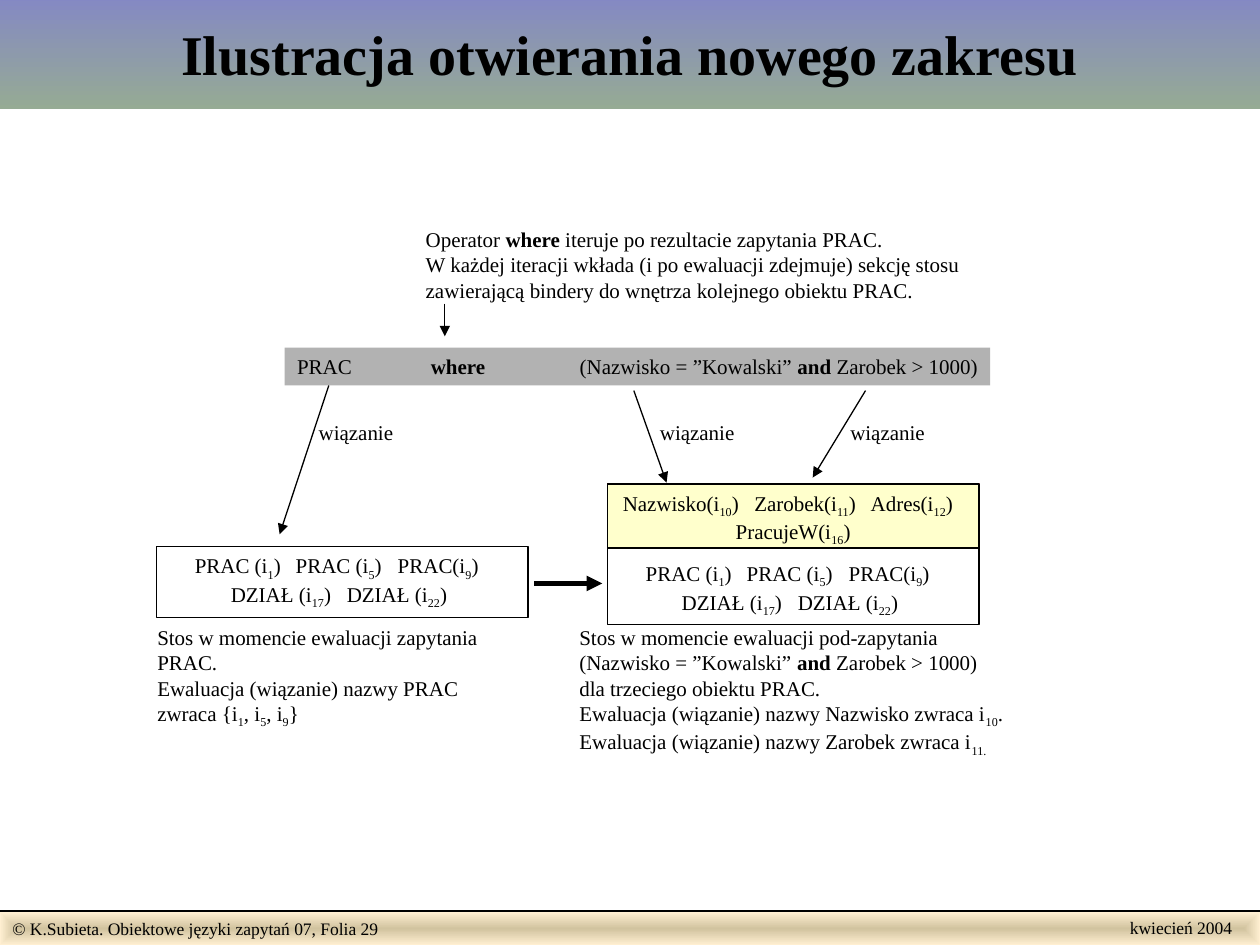
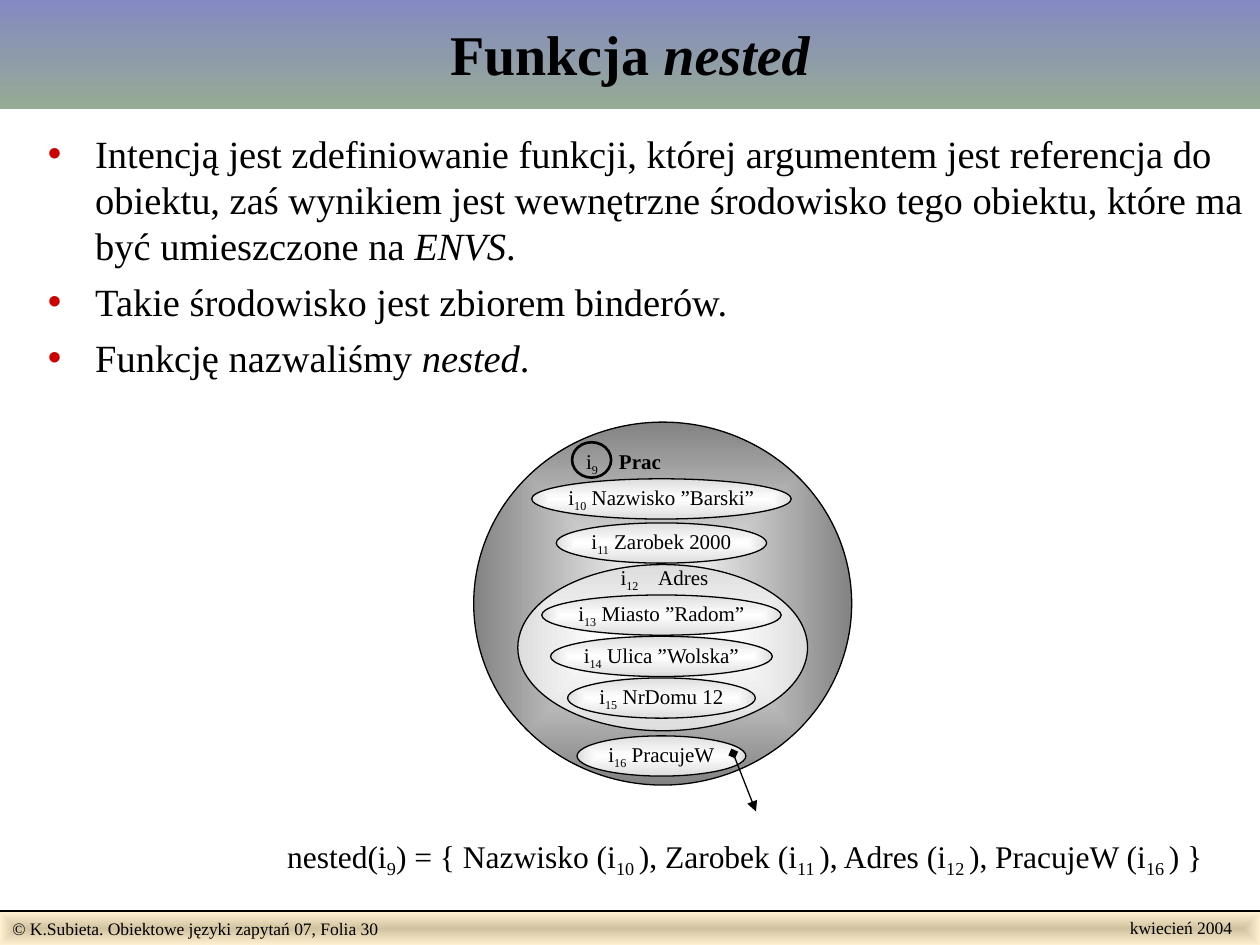
from dataclasses import dataclass
from typing import Optional

import lxml.etree
import pptx
import pptx.dml.color
import pptx.enum.dml
import pptx.enum.shapes
import pptx.enum.text
import pptx.oxml.ns
import pptx.util

Pt = pptx.util.Pt
qn = pptx.oxml.ns.qn
Align = pptx.enum.text.PP_ALIGN
Anchor = pptx.enum.text.MSO_ANCHOR
AutoSize = pptx.enum.text.MSO_AUTO_SIZE
Preset = pptx.enum.shapes.MSO_SHAPE

FONT = "Times New Roman"
BLACK = "000000"
TITLE_BAND = ("8488C4", "96AB94")
FOOTER_BAND = ("D1C39F", "FFEFD1")
OUTER_OBJECT = ("FFFFFF", "838383")
INNER_OBJECT = ("FFFFFF", "DDDDDD")
BULLET_RED = "CC0000"
STYLE_MARKS = {"*": "bold", "/": "italic", "~": "subscript"}

OBJECT_CENTER = 378
ATTRIBUTE_HEIGHT = 23
STACK_WIDTH = 212.4
PRAC_TABS = (14.9, 72.6, 130.9)
DZIAL_TABS = (35.5, 101.8)
BASE_SECTION = (
    "\tPRAC (i~1~)\tPRAC (i~5~)\tPRAC(i~9~)",
    "\tDZIAŁ (i~17~)\tDZIAŁ (i~22~)",
)


@dataclass(frozen=True)
class Box:
    x: float
    y: float
    w: float
    h: float


@dataclass(frozen=True)
class Label:
    box: Box
    lines: tuple[str, ...]
    size: float = 12
    wrap: bool = False
    inset: bool = True
    tabs: tuple[tuple[float, ...], ...] = ()


@dataclass(frozen=True)
class Panel:
    box: Box
    fill: tuple[str, ...] = ()
    line: Optional[str] = BLACK
    weight: float = 0.75
    preset: int = Preset.RECTANGLE


@dataclass(frozen=True)
class Line:
    start: tuple[float, float]
    end: tuple[float, float]
    weight: float = 0.75
    head: str = ""
    tail: str = "triangle"


@dataclass(frozen=True)
class Attribute:
    y: float
    width: float
    text: str


def color(value: str) -> pptx.dml.color.RGBColor:
    return pptx.dml.color.RGBColor.from_string(value)


def place(shape, box: Box) -> None:
    shape.left, shape.top = Pt(box.x), Pt(box.y)
    shape.width, shape.height = Pt(box.w), Pt(box.h)


def paint(shape, fill: tuple[str, ...], centered: bool = False) -> None:
    if not fill:
        shape.fill.background()
    elif len(fill) == 1:
        shape.fill.solid()
        shape.fill.fore_color.rgb = color(fill[0])
    else:
        shape.fill.gradient()
        shape.fill.gradient_angle = 270
        for stop, position, value in zip(shape.fill.gradient_stops, (0, 1), fill):
            stop.position = position
            stop.color.rgb = color(value)
        if centered:
            linear = shape._element.spPr.find(qn("a:gradFill")).find(qn("a:lin"))
            focus = lxml.etree.Element(qn("a:path"), path="rect")
            lxml.etree.SubElement(focus, qn("a:fillToRect"), dict.fromkeys("ltrb", "50000"))
            linear.getparent().replace(linear, focus)


def add_runs(paragraph, marked: str) -> None:
    active: set[str] = set()
    text = ""
    for mark in marked + "\n":
        if mark not in STYLE_MARKS and mark != "\n":
            text += mark
            continue
        if text:
            run = paragraph.add_run()
            run.text = text
            if "bold" in active:
                run.font.bold = True
            if "italic" in active:
                run.font.italic = True
            if "subscript" in active:
                run._r.get_or_add_rPr().set("baseline", "-25000")
            text = ""
        active ^= {STYLE_MARKS.get(mark, "")}


def format_paragraph(paragraph, size: float, align=Align.LEFT, bold: bool = False) -> None:
    paragraph.alignment = align
    font = paragraph.font
    font.name, font.size, font.bold = FONT, Pt(size), bold
    font.color.rgb = color(BLACK)


def add_tabs(paragraph, positions: tuple[float, ...]) -> None:
    stops = lxml.etree.SubElement(paragraph._p.get_or_add_pPr(), qn("a:tabLst"))
    for position in positions:
        lxml.etree.SubElement(stops, qn("a:tab"), pos=str(Pt(position)), algn="l")


def write(frame, lines: tuple[str, ...], size: float, align=Align.LEFT,
          tabs: tuple[tuple[float, ...], ...] = ()) -> None:
    for index, line in enumerate(lines):
        paragraph = frame.add_paragraph() if index else frame.paragraphs[0]
        if tabs:
            add_tabs(paragraph, tabs[index])
        format_paragraph(paragraph, size, align)
        add_runs(paragraph, line)


def set_insets(frame, side: float, end: float) -> None:
    frame.margin_left = frame.margin_right = Pt(side)
    frame.margin_top = frame.margin_bottom = Pt(end)


def add_label(slide, label: Label):
    box = label.box
    shape = slide.shapes.add_textbox(Pt(box.x), Pt(box.y), Pt(box.w), Pt(box.h))
    frame = shape.text_frame
    frame.word_wrap = label.wrap
    frame.auto_size = AutoSize.NONE if label.wrap else AutoSize.SHAPE_TO_FIT_TEXT
    set_insets(frame, *((7.2, 3.6) if label.inset else (0, 0)))
    write(frame, label.lines, label.size, tabs=label.tabs)
    return shape


def add_panel(slide, panel: Panel):
    box = panel.box
    shape = slide.shapes.add_shape(panel.preset, Pt(box.x), Pt(box.y), Pt(box.w), Pt(box.h))
    shape.shadow.inherit = False
    paint(shape, panel.fill, centered=True)
    if panel.line:
        shape.line.color.rgb = color(panel.line)
        shape.line.width = Pt(panel.weight)
    else:
        shape.line.fill.background()
    return shape


def add_line(slide, line: Line) -> None:
    connector = slide.shapes.add_connector(
        pptx.enum.shapes.MSO_CONNECTOR.STRAIGHT, *map(Pt, line.start + line.end))
    connector.line.color.rgb = color(BLACK)
    connector.line.width = Pt(line.weight)
    outline = connector.line._get_or_add_ln()
    for end, kind in (("a:headEnd", line.head), ("a:tailEnd", line.tail)):
        if kind:
            lxml.etree.SubElement(outline, qn(end), type=kind)
    lxml.etree.SubElement(connector._element.spPr, qn("a:effectLst"))


def add_oval(slide, box: Box, fill: tuple[str, ...] = (), weight: float = 0.75):
    return add_panel(slide, Panel(box, fill, weight=weight, preset=Preset.OVAL))


def add_attribute(slide, attribute: Attribute) -> None:
    left = OBJECT_CENTER - attribute.width / 2
    oval = add_oval(slide, Box(left, attribute.y, attribute.width, ATTRIBUTE_HEIGHT), INNER_OBJECT)
    frame = oval.text_frame
    frame.word_wrap = False
    frame.vertical_anchor = Anchor.MIDDLE
    set_insets(frame, 0, 0)
    write(frame, (attribute.text,), 12, Align.CENTER)


def start_slide(deck, layout: int, title: str, folio: int):
    slide = deck.slides.add_slide(deck.slide_layouts[layout])
    heading = slide.shapes.title
    place(heading, Box(0, -2.2, 720, 64.8))
    paint(heading, TITLE_BAND)
    frame = heading.text_frame
    frame.auto_size = AutoSize.NONE
    frame.vertical_anchor = Anchor.MIDDLE
    format_paragraph(frame.paragraphs[0], 32, Align.CENTER, bold=True)
    add_runs(frame.paragraphs[0], title)

    band = Box(0, 521.3, 720, 18.7)
    add_panel(slide, Panel(band, FOOTER_BAND, line=None))
    credit = f"© K.Subieta. Obiektowe języki zapytań 07, Folia {folio}"
    add_label(slide, Label(band, (credit,), 10, wrap=True))
    add_line(slide, Line((0, 520.5), (720, 520.5), 1, tail=""))
    add_label(slide, Label(Box(638.6, 520.5, 72.7, 19.4), ("kwiecień 2004",), 10))
    return slide


def build_scope_slide(deck) -> None:
    slide = start_slide(deck, 5, "Ilustracja otwierania nowego zakresu", 29)
    stack_before = Box(89.3, 312.5, STACK_WIDTH, 40.3)
    stack_after = Box(347, 276.5, STACK_WIDTH, 80.6)
    query = Box(162.7, 198.7, 403.2, 21.6)
    for panel in (
        Panel(Box(347, 276.5, STACK_WIDTH, 36.7), ("FFFFCC",), "CC0000"),
        Panel(stack_before),
        Panel(stack_after),
        Panel(query, ("B2B2B2",), None),
    ):
        add_panel(slide, panel)

    base_tabs = (PRAC_TABS, DZIAL_TABS)
    new_section = ("\tNazwisko(i~10~)\tZarobek(i~11~)\tAdres(i~12~)", "\tPracujeW(i~16~)")
    add_label(slide, Label(stack_before, BASE_SECTION, wrap=True, tabs=base_tabs))
    sections = add_label(slide, Label(stack_after, new_section + BASE_SECTION, wrap=True,
                                      tabs=((1.8, 77, 143.5), (66.3,)) + base_tabs))
    sections.text_frame.paragraphs[1].space_after = Pt(7.5)

    condition = "(Nazwisko = ”Kowalski” *and* Zarobek > 1000)"
    for label in (
        Label(query, (f"PRAC\t*where*\t{condition}",), wrap=True, tabs=((76.4, 161.5),)),
        Label(Box(82.8, 353.5, 234.7, 52.6), (
            "Stos w momencie ewaluacji zapytania PRAC.",
            "Ewaluacja (wiązanie) nazwy PRAC",
            "zwraca {i~1~, i~5~, i~9~}")),
        Label(Box(324, 353.5, 259.2, 83.5), (
            "Stos w momencie ewaluacji pod-zapytania",
            condition,
            "dla trzeciego obiektu PRAC.",
            "Ewaluacja (wiązanie) nazwy Nazwisko zwraca i~10~.",
            "Ewaluacja (wiązanie) nazwy Zarobek zwraca i~11.~")),
        Label(Box(236.2, 126, 352.8, 50.4), (
            "Operator *where* iteruje po rezultacie zapytania PRAC.",
            "W każdej iteracji wkłada (i po ewaluacji zdejmuje) sekcję stosu "
            "zawierającą bindery do wnętrza kolejnego obiektu PRAC."), wrap=True),
    ):
        add_label(slide, label)
    for x in (175, 370, 478.8):
        add_label(slide, Label(Box(x, 236.2, 56.9, 21.6), ("wiązanie",)))

    for line in (
        Line((347, 313.2), (347 + STACK_WIDTH, 313.2), tail=""),
        Line((187.9, 220.3), (159.8, 305.3)),
        Line((362.2, 223.2), (380.9, 275.8)),
        Line((494.6, 223.2), (464.4, 272.9)),
        Line((254.2, 173.5), (254.2, 192.2)),
        Line((305.3, 333.4), (344.2, 333.4), 3),
    ):
        add_line(slide, line)


def build_nested_slide(deck) -> None:
    slide = start_slide(deck, 1, "Funkcja /nested/", 30)
    points = slide.placeholders[1]
    place(points, Box(20.2, 70.6, 699.8, 449.3))
    points.text_frame.auto_size = AutoSize.NONE
    for index, text in enumerate((
        "Intencją jest zdefiniowanie funkcji, której argumentem jest referencja do obiektu, "
        "zaś wynikiem jest wewnętrzne środowisko tego obiektu, które ma być umieszczone na /ENVS/.",
        "Takie środowisko jest zbiorem binderów.",
        "Funkcję nazwaliśmy /nested/.",
    )):
        paragraph = points.text_frame.add_paragraph() if index else points.text_frame.paragraphs[0]
        paragraph.space_before = Pt(5.5 if index else 0)
        properties = paragraph._p.get_or_add_pPr()
        properties.set("marL", str(Pt(27)))
        properties.set("indent", str(Pt(-27)))
        bullet_color = lxml.etree.SubElement(properties, qn("a:buClr"))
        lxml.etree.SubElement(bullet_color, qn("a:srgbClr"), val=BULLET_RED)
        lxml.etree.SubElement(properties, qn("a:buChar"), char="•")
        format_paragraph(paragraph, 22)
        add_runs(paragraph, text)

    result = "nested(i~9~) = { Nazwisko (i~10 ~), Zarobek (i~11 ~), Adres (i~12 ~), PracujeW (i~16 ~) }"
    add_label(slide, Label(Box(157, 474.5, 538.6, 31.7), (result,), 18))

    add_oval(slide, Box(270.7, 241.2, 216, 207.4), OUTER_OBJECT)
    add_oval(slide, Box(295.9, 322.6, 165.6, 95), INNER_OBJECT)
    for attribute in (
        Attribute(273.6, 148.3, "i~10~ Nazwisko ”Barski”"),
        Attribute(298.8, 120.2, "i~11~ Zarobek 2000"),
        Attribute(340, 136.8, "i~13~ Miasto ”Radom”"),
        Attribute(363.6, 126.7, "i~14~ Ulica ”Wolska”"),
        Attribute(387.4, 107.3, "i~15~ NrDomu 12"),
        Attribute(420.5, 96.5, "i~16~ PracujeW"),
    ):
        add_attribute(slide, attribute)
    for box, name, tab in (
        (Box(334.9, 256.3, 48, 16.6), "i~9~\t*Prac*", 18.8),
        (Box(354.6, 322.6, 54, 16.6), "i~12~\tAdres", 21.5),
    ):
        add_label(slide, Label(box, (name,), wrap=True, inset=False, tabs=((tab,),)))
    add_oval(slide, Box(326.9, 252.7, 22.3, 20.2), weight=1.5)
    add_line(slide, Line((419, 430.6), (432, 463.7), head="diamond"))


def main() -> None:
    deck = pptx.Presentation()
    deck.slide_width, deck.slide_height = Pt(720), Pt(540)
    build_scope_slide(deck)
    build_nested_slide(deck)
    deck.save("out.pptx")


if __name__ == "__main__":
    main()
